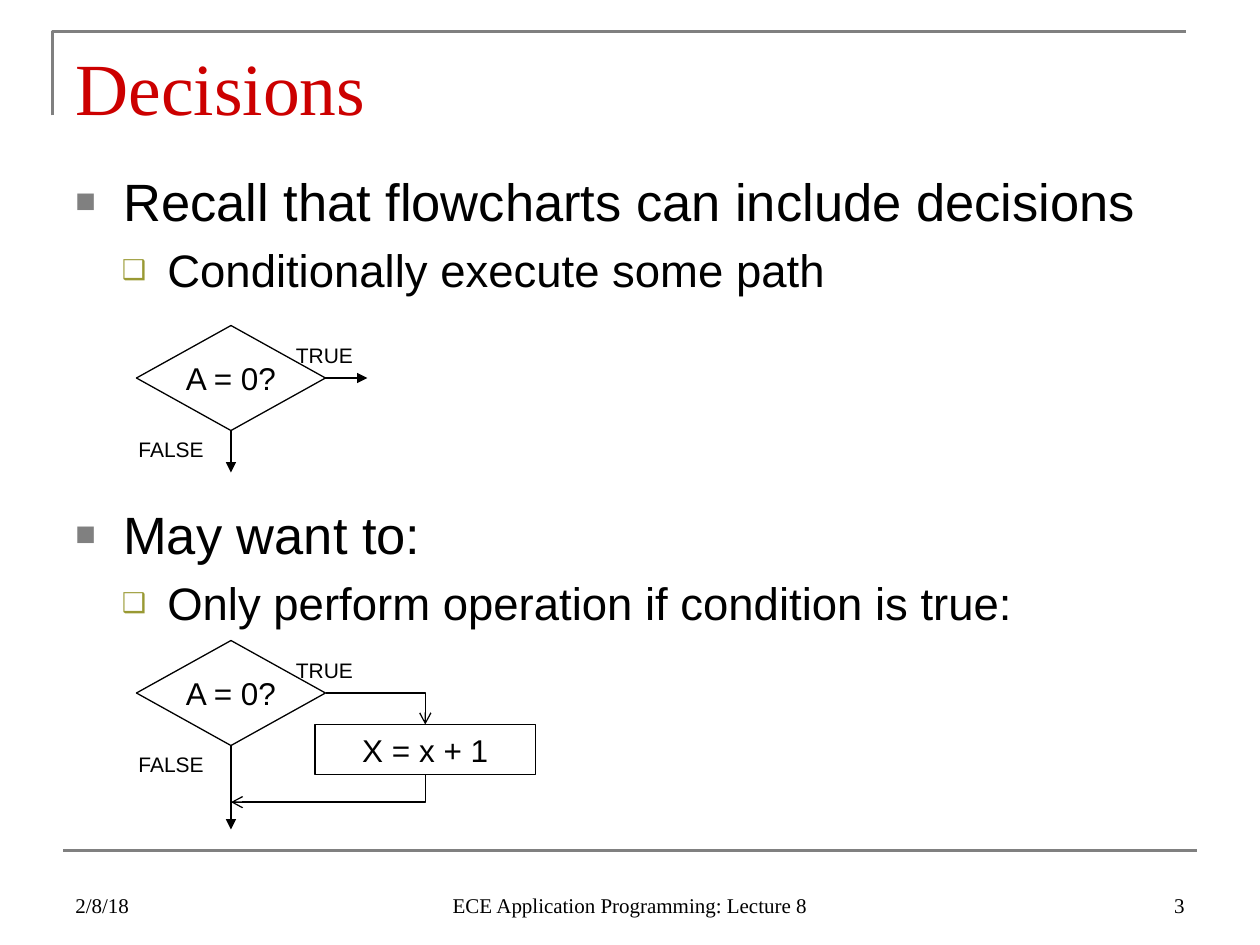
from lxml import etree
from pptx import Presentation
from pptx.dml.color import RGBColor
from pptx.enum.shapes import MSO_CONNECTOR, MSO_SHAPE
from pptx.enum.text import MSO_ANCHOR, PP_ALIGN
from pptx.oxml.ns import qn
from pptx.util import Inches, Pt

BLACK = RGBColor(0x00, 0x00, 0x00)
GRAY = RGBColor(0x80, 0x80, 0x80)
RED = RGBColor(0xCC, 0x00, 0x00)
OLIVE = RGBColor(0x99, 0x99, 0x33)
SANS, SERIF = "Arial", "Times New Roman"
LEFT, CENTER, RIGHT = PP_ALIGN.LEFT, PP_ALIGN.CENTER, PP_ALIGN.RIGHT
TOP, MIDDLE, BOTTOM = MSO_ANCHOR.TOP, MSO_ANCHOR.MIDDLE, MSO_ANCHOR.BOTTOM
STRAIGHT, ELBOW = MSO_CONNECTOR.STRAIGHT, MSO_CONNECTOR.ELBOW
DIAMOND, BOX = MSO_SHAPE.FLOWCHART_DECISION, MSO_SHAPE.RECTANGLE
TITLE_ONLY = 5
COLUMNS, ROWS = 120, 90

# level: size, bullet, bullet colour, bullet size in %, margin, hanging indent
LEVELS = [
    (30, "■", GRAY, 65, 0.38, 0.38),
    (26, "❑", OLIVE, 60, 0.73, 0.36),
]


class FlowSlide:
    """Places elements on a grid of 120 columns by 90 rows."""

    def __init__(self, prs):
        self.s = prs.slides.add_slide(prs.slide_layouts[TITLE_ONLY])
        self.col = prs.slide_width / COLUMNS
        self.row = prs.slide_height / ROWS

    def place(self, x, y):
        return round(x * self.col), round(y * self.row)

    def add_text(self, p, text, size, font=SANS, color=BLACK, align=LEFT):
        p.alignment = align
        r = p.add_run()
        r.text = text
        r.font.size, r.font.name = Pt(size), font
        r.font.color.rgb = color

    def title(self, text, x, y, w, h):
        sp = self.s.shapes.title
        sp.left, sp.top = self.place(x, y)
        sp.width, sp.height = self.place(w, h)
        sp.text_frame.vertical_anchor = BOTTOM
        self.add_text(sp.text_frame.paragraphs[0], text, 42, SERIF, RED)

    def text_box(self, x, y, w, h, anchor=TOP):
        tf = self.s.shapes.add_textbox(*self.place(x, y), *self.place(w, h)).text_frame
        tf.word_wrap = True
        tf.vertical_anchor = anchor
        return tf

    def label(self, text, x, y, w, h, font=SANS, align=LEFT, anchor=TOP):
        tf = self.text_box(x, y, w, h, anchor)
        self.add_text(tf.paragraphs[0], text, 12, font, align=align)

    def bullets(self, items, x, y, w, h):
        """Each item is (level, text, space before in points)."""
        tf = self.text_box(x, y, w, h)
        for i, (level, text, before) in enumerate(items):
            p = tf.add_paragraph() if i else tf.paragraphs[0]
            size, mark, color, percent, margin, hang = LEVELS[level]
            p.level = level
            p.space_before = Pt(before)
            pPr = p._p.get_or_add_pPr()
            pPr.set("marL", str(Inches(margin)))
            pPr.set("indent", str(-Inches(hang)))
            clr = etree.SubElement(pPr, qn("a:buClr"))
            etree.SubElement(clr, qn("a:srgbClr"), val=str(color))
            etree.SubElement(pPr, qn("a:buSzPct"), val=str(percent * 1000))
            etree.SubElement(pPr, qn("a:buFont"), typeface=SANS)
            etree.SubElement(pPr, qn("a:buChar"), char=mark)
            self.add_text(p, text, size)

    def node(self, kind, text, x, y, w, h):
        sp = self.s.shapes.add_shape(kind, *self.place(x, y), *self.place(w, h))
        sp.shadow.inherit = False
        sp.fill.background()
        sp.line.color.rgb, sp.line.width = BLACK, Pt(0.75)
        tf = sp.text_frame
        tf.word_wrap = False
        tf.vertical_anchor = MIDDLE
        self.add_text(tf.paragraphs[0], text, 18, align=CENTER)

    def line(self, x1, y1, x2, y2, head=None, color=BLACK, width=0.75, kind=STRAIGHT):
        c = self.s.shapes.add_connector(kind, *self.place(x1, y1), *self.place(x2, y2))
        c.line.color.rgb, c.line.width = color, Pt(width)
        spPr = c._element.spPr
        if head:
            etree.SubElement(spPr.find(qn("a:ln")), qn("a:tailEnd"), type=head)
        etree.SubElement(spPr, qn("a:effectLst"))
        return spPr

    def elbow(self, x1, y1, x2, y2, down_first=False):
        """One-bend arrow; down_first goes down and then left."""
        if down_first:
            cx, cy = (x1 + x2) / 2, (y1 + y2) / 2
            dx, dy = (y2 - y1) / 2, (x1 - x2) / 2
            x1, y1, x2, y2 = cx - dx, cy - dy, cx + dx, cy + dy
        spPr = self.line(x1, y1, x2, y2, "arrow", kind=ELBOW)
        spPr.find(qn("a:prstGeom")).set("prst", "bentConnector2")
        if down_first:
            spPr.find(qn("a:xfrm")).set("rot", str(90 * 60000))

    def corner_rule(self, *points):
        start, *rest = [self.place(x, y) for x, y in points]
        fb = self.s.shapes.build_freeform(*start)
        fb.add_line_segments(rest, close=False)
        sp = fb.convert_to_shape()
        sp.shadow.inherit = False
        sp.fill.background()
        sp.line.color.rgb, sp.line.width = GRAY, Pt(1.5)

    def decision(self, y, exit_y):
        self.node(DIAMOND, "A = 0?", 13, y, 18, 10)
        self.line(22, y + 10, 22, exit_y, "triangle")
        self.label("TRUE", 27, y + 1, 8, 3.6)
        self.label("FALSE", 12, y + 10, 9, 3.6)


def main():
    prs = Presentation()
    prs.slide_width, prs.slide_height = Inches(10), Inches(7.5)
    s = FlowSlide(prs)

    s.corner_rule((5, 11), (5, 3), (113, 3))
    s.line(6, 81, 114, 81, color=GRAY, width=1.5)
    s.title("Decisions", 6, 3.6, 108, 9.4)
    s.bullets([
        (0, "Recall that flowcharts can include decisions", 0),
        (1, "Conditionally execute some path", 6),
        (0, "May want to:", 117),
        (1, "Only perform operation if condition is true:", 6),
    ], 6, 15.5, 108, 65)

    s.decision(31, exit_y=45)
    s.line(31, 36, 35, 36, "triangle")

    s.decision(61, exit_y=79)
    s.node(BOX, "X = x + 1", 30, 69, 21, 4.8)
    s.elbow(31, 66, 40.5, 69)
    s.elbow(40.5, 73.8, 22, 76.4, down_first=True)

    for text, x, w, align in [
        ("2/8/18", 6, 28, LEFT),
        ("ECE Application Programming: Lecture 8", 41, 38, CENTER),
        ("3", 86, 28, RIGHT),
    ]:
        s.label(text, x, 82, w, 6, SERIF, align, BOTTOM)

    prs.save("out.pptx")


if __name__ == "__main__":
    main()
